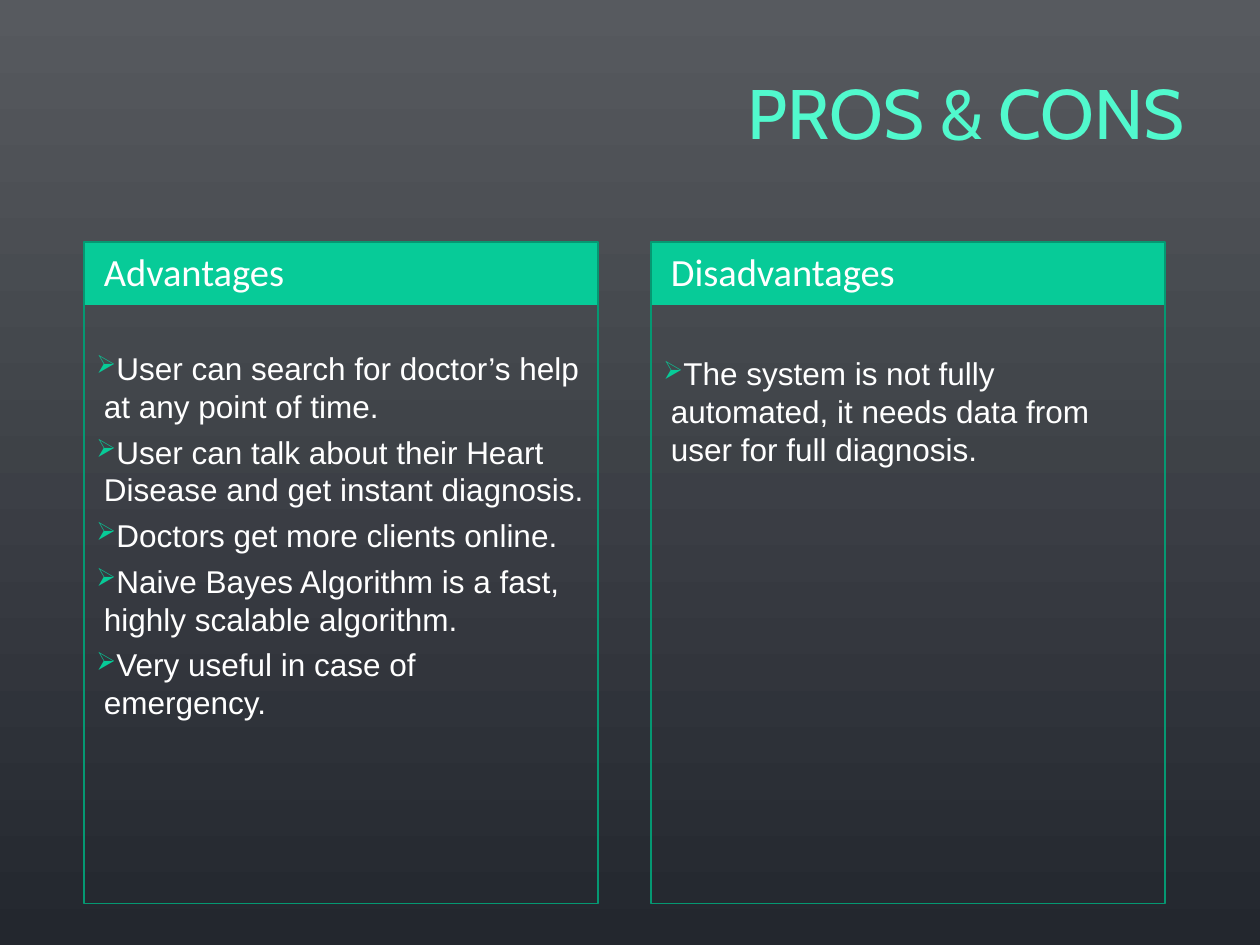
from lxml.etree import SubElement
from pptx import Presentation
from pptx.dml.color import RGBColor
from pptx.enum.shapes import MSO_SHAPE
from pptx.enum.text import MSO_ANCHOR, PP_ALIGN
from pptx.oxml.ns import qn
from pptx.util import Pt


def color(value):
    return RGBColor.from_string(value)


def add_text(paragraph, text, font, size, value):
    run = paragraph.add_run()
    run.text = text
    run.font.name = font
    run.font.size = Pt(size)
    run.font.color.rgb = color(value)


GREEN = "07CB98"
WHITE = "FFFFFF"
TOP, WIDTH = 138.24, 293.76

columns = [
    (372, "Disadvantages", 34.2, [
        "The system is not fully automated, it needs data from user for full diagnosis.",
    ]),
    (48, "Advantages", 31.3, [
        "User can search for doctor’s help at any point of time.",
        "User can talk about their Heart Disease and get instant diagnosis.",
        "Doctors get more clients online.",
        "Naive Bayes Algorithm is a fast, highly scalable algorithm.",
        "Very useful in case of emergency.",
    ]),
]

prs = Presentation()
prs.slide_width, prs.slide_height = Pt(720), Pt(540)
slide = prs.slides.add_slide(prs.slide_layouts[6])

background = slide.background.fill
background.gradient()
background.gradient_angle = 270
for stop, position, value in zip(background.gradient_stops, (0, 1), ("575A5F", "23272E")):
    stop.position = position
    stop.color.rgb = color(value)

title = slide.shapes.add_textbox(Pt(30), Pt(36), Pt(654), Pt(66)).text_frame
title.word_wrap = True
title.paragraphs[0].alignment = PP_ALIGN.RIGHT
add_text(title.paragraphs[0], "PROS & CONS", "Cabin", 40, "51F9CD")

for left, heading, first_gap, points in columns:
    band = slide.shapes.add_shape(MSO_SHAPE.RECTANGLE, Pt(left), Pt(TOP), Pt(WIDTH), Pt(36))
    band.shadow.inherit = False
    band.fill.solid()
    band.fill.fore_color.rgb = color(GREEN)
    band.line.fill.background()

    panel = slide.shapes.add_shape(MSO_SHAPE.RECTANGLE, Pt(left), Pt(TOP), Pt(WIDTH), Pt(378))
    panel.shadow.inherit = False
    panel.fill.background()
    panel.line.color.rgb = color("059872")
    panel.line.width = Pt(0.75)

    body = panel.text_frame
    body.word_wrap = True
    body.vertical_anchor = MSO_ANCHOR.TOP
    header = body.paragraphs[0]
    header.alignment = PP_ALIGN.LEFT
    header.space_before = Pt(5.5)
    header._p.get_or_add_pPr().set("marL", str(Pt(4.32)))
    add_text(header, heading, "Calibri", 22, WHITE)

    for index, point in enumerate(points):
        item = body.add_paragraph()
        item.alignment = PP_ALIGN.LEFT
        item.space_before = Pt(4.5 if index else first_gap)
        props = item._p.get_or_add_pPr()
        props.set("marL", str(Pt(4.32)))
        props.set("indent", str(Pt(-4.32)))
        bullet_color = SubElement(props, qn("a:buClr"))
        SubElement(bullet_color, qn("a:srgbClr"), val=GREEN)
        SubElement(props, qn("a:buSzPct"), val="80000")
        SubElement(props, qn("a:buChar"), char="➢")
        add_text(item, point, "Arial", 18, WHITE)

prs.save("out.pptx")
